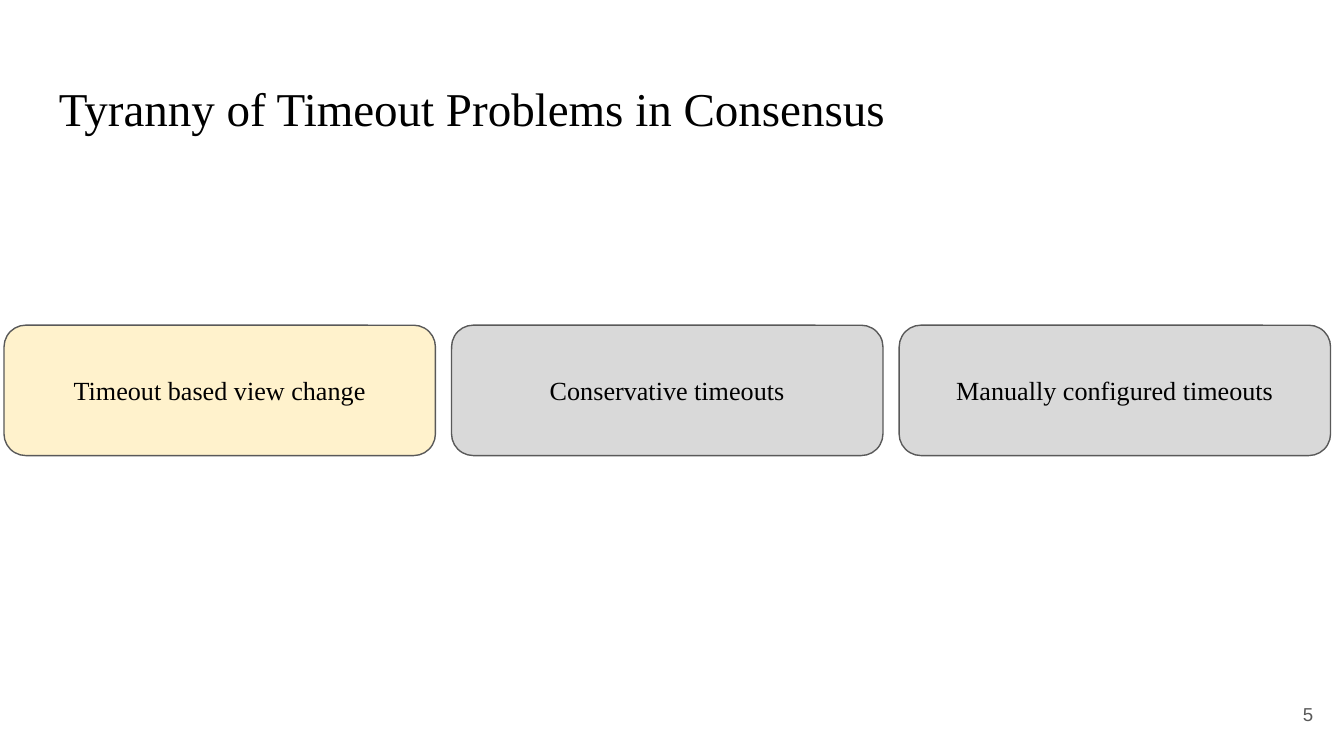
from pptx import Presentation
from pptx.dml.color import RGBColor
from pptx.enum.shapes import MSO_SHAPE
from pptx.enum.text import MSO_ANCHOR, PP_ALIGN
from pptx.util import Inches, Pt

BLACK = RGBColor(0x00, 0x00, 0x00)
DARK_GRAY = RGBColor(0x59, 0x59, 0x59)
LIGHT_GRAY = RGBColor(0xD9, 0xD9, 0xD9)
CREAM = RGBColor(0xFF, 0xF2, 0xCC)
ROUNDED = MSO_SHAPE.ROUNDED_RECTANGLE
TOP, MIDDLE = MSO_ANCHOR.TOP, MSO_ANCHOR.MIDDLE
LEFT, CENTER, RIGHT = PP_ALIGN.LEFT, PP_ALIGN.CENTER, PP_ALIGN.RIGHT

TITLE_FONT = {"name": "Times New Roman", "size": Pt(25.2)}
PROBLEM_FONT = {"name": "Times New Roman", "size": Pt(14)}
NUMBER_FONT = {"name": "Arial", "size": Pt(10)}


def write_text(box, text, font, color, align, anchor):
    frame = box.text_frame
    frame.word_wrap = True
    frame.vertical_anchor = anchor
    for side in ("left", "top", "right", "bottom"):
        setattr(frame, f"margin_{side}", Inches(0.1))
    para = frame.paragraphs[0]
    para.alignment = align
    span = para.add_run()
    span.text = text
    for key, value in font.items():
        setattr(span.font, key, value)
    span.font.color.rgb = color


deck = Presentation()
deck.slide_width = Inches(10)
deck.slide_height = Inches(10) * 9 // 16
page = deck.slides.add_slide(deck.slide_layouts[6])

title = page.shapes.add_textbox(Inches(0.34), Inches(0.49), Inches(9.32), Inches(0.63))
write_text(title, "Tyranny of Timeout Problems in Consensus", TITLE_FONT, BLACK, LEFT, TOP)

problems = [
    ("Timeout based view change", CREAM),
    ("Conservative timeouts", LIGHT_GRAY),
    ("Manually configured timeouts", LIGHT_GRAY),
]
box_width, gap = 3.21, 0.12
for column, (text, fill) in enumerate(problems):
    left = 0.03 + column * (box_width + gap)
    box = page.shapes.add_shape(
        ROUNDED, Inches(left), Inches(2.42), Inches(box_width), Inches(0.97)
    )
    box.shadow.inherit = False
    box.fill.solid()
    box.fill.fore_color.rgb = fill
    box.line.color.rgb = DARK_GRAY
    box.line.width = Pt(0.75)
    write_text(box, text, PROBLEM_FONT, BLACK, CENTER, MIDDLE)

page_number = page.shapes.add_textbox(Inches(9.27), Inches(5.1), Inches(0.6), Inches(0.43))
write_text(page_number, "5", NUMBER_FONT, DARK_GRAY, RIGHT, MIDDLE)

deck.save("out.pptx")
